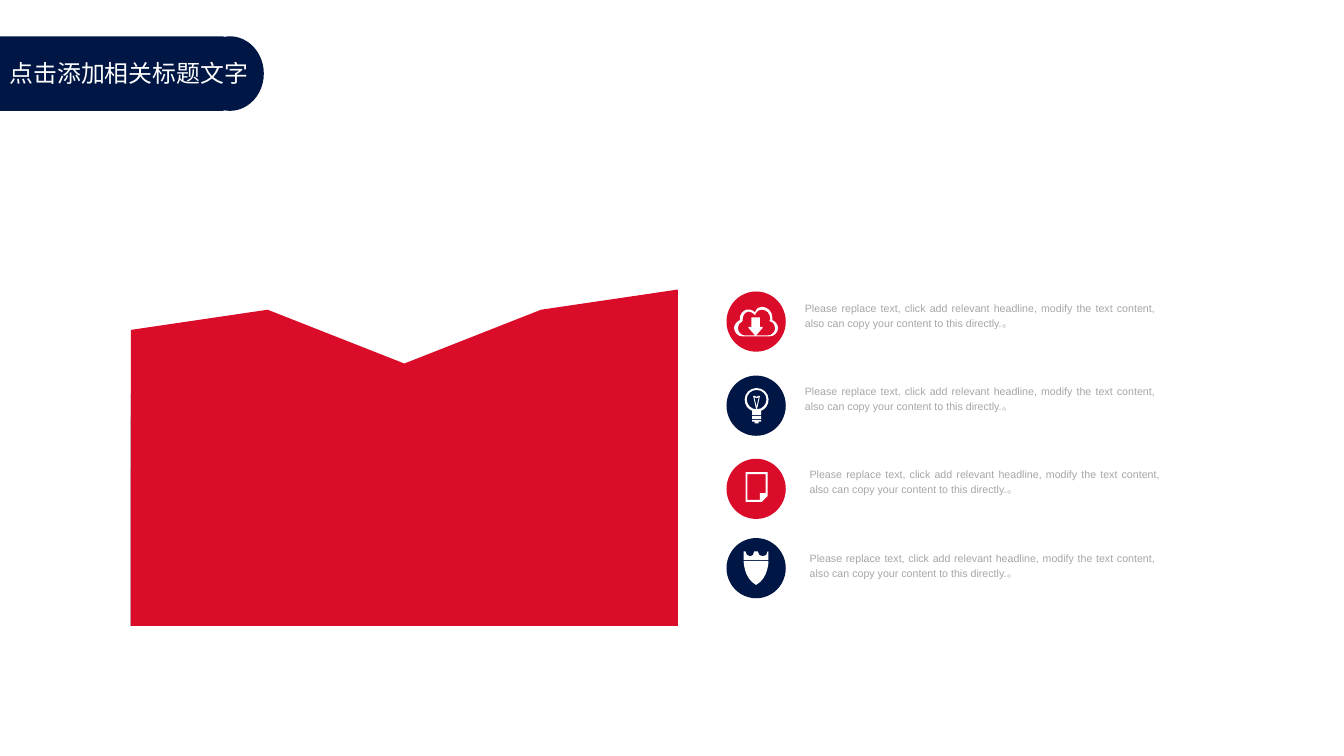
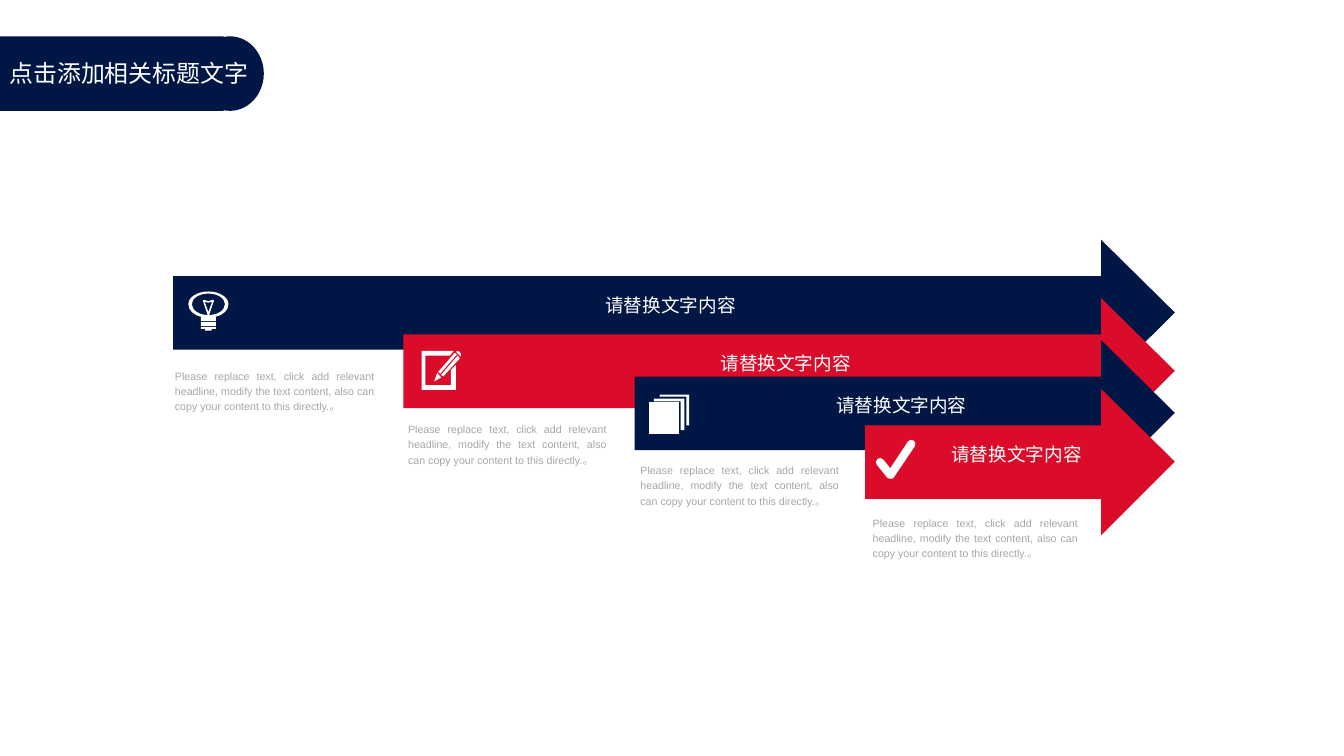
from lxml.etree import SubElement
from pptx import Presentation
from pptx.chart.data import CategoryChartData
from pptx.dml.color import RGBColor
from pptx.enum.chart import XL_CHART_TYPE
from pptx.enum.shapes import MSO_SHAPE
from pptx.enum.text import MSO_ANCHOR, MSO_AUTO_SIZE, PP_ALIGN
from pptx.oxml.ns import qn
from pptx.util import Pt

EMU_PER_PX = 9144

NAVY = RGBColor(0x00, 0x17, 0x46)
RED = RGBColor(0xDA, 0x0C, 0x2A)
GRAY = RGBColor(0xA6, 0xA6, 0xA6)
WHITE = RGBColor(0xFF, 0xFF, 0xFF)
BLACK = RGBColor(0x00, 0x00, 0x00)

LATIN = "Arial"
CHINESE = "Noto Sans CJK SC"

HEADLINE = "点击添加相关标题文字"
ARROW_LABEL = "请替换文字内容"
BODY = ("Please replace text, click add relevant headline, modify the text "
        "content, also can copy your content to this directly.。")

CLOUD = [[
    [(40, 14), (40, 13, 40, 12, 40, 11), (40, 5, 35, 0, 29, 0),
     (23, 0, 22, 6, 22, 6), (22, 6, 19, 2, 13, 3), (9, 4, 6, 8, 6, 12),
     (6, 13, 6, 13, 6, 14), (3, 15, 0, 19, 0, 22), (0, 27, 4, 31, 9, 31),
     (37, 31), (42, 31, 46, 27, 46, 22), (46, 19, 43, 15, 40, 14)],
    [(35, 30), (23, 30), (30, 22), (30, 21), (27, 21), (27, 11), (18, 11),
     (18, 21), (15, 21), (15, 22), (22, 30), (11, 30),
     (7, 30, 4, 26, 4, 22), (4, 19, 6, 16, 9, 15), (9, 14, 9, 14, 9, 13),
     (9, 9, 11, 6, 15, 5), (19, 5, 22, 9, 22, 9), (22, 9, 23, 3, 29, 3),
     (34, 3, 38, 7, 38, 13), (38, 13, 37, 14, 37, 15),
     (41, 16, 43, 19, 43, 22), (43, 26, 40, 30, 35, 30)],
]]
BULB = [
    [[(250, 120), (250, 54, 194, 0, 125, 0), (56, 0, 0, 54, 0, 120),
      (0, 175, 32, 222, 78, 238), (78, 280), (172, 280), (172, 238),
      (218, 222, 250, 175, 250, 120)],
     [(125, 223), (68, 223, 22, 177, 22, 120), (22, 63, 68, 20, 125, 20),
      (182, 20, 228, 63, 228, 120), (228, 177, 182, 223, 125, 223)]],
    (78, 290, 94, 35),
    [[(78, 352), (105, 352), (105, 370), (145, 370), (145, 352), (172, 352),
      (172, 335), (78, 335)]],
    [[(160, 85), (150, 80), (125, 92), (100, 80), (90, 85), (120, 220), (130, 220)],
     [(125, 195), (102, 97), (125, 106), (148, 97)]],
]
PAGE = [[
    [(0, 0), (0, 31), (17, 31), (23, 25), (23, 0)],
    [(2, 2), (2, 29), (15, 29), (15, 22), (21, 22), (21, 2)],
]]
SHIELD = [
    [[(13, 35), (26, 28, 26, 10, 26, 10), (0, 10), (0, 10, 0, 28, 13, 35)]],
    [[(25, 0), (25, 3, 23, 5, 20, 5), (17, 5, 15, 3, 15, 0), (11, 0),
      (11, 3, 9, 5, 7, 5), (4, 5, 2, 3, 2, 0), (0, 0), (0, 9), (26, 9), (26, 0)]],
]
PENCIL = [
    [[(20, 29), (16, 24), (13, 33)]],
    [[(34, 3), (17, 23), (19, 25), (36, 5)]],
    [[(20, 26), (22, 28), (39, 9), (37, 6)]],
    [[(39, 2), (38, 0, 35, 2, 35, 2), (40, 7), (40, 7, 41, 5, 39, 2)]],
    [[(30, 37), (4, 37), (4, 6), (29, 6), (33, 1), (0, 1), (0, 42), (35, 42),
      (35, 16), (30, 21)]],
]
SHEETS = [
    [[(5, 7), (33, 7), (33, 37), (37, 37), (37, 4), (5, 4)]],
    [[(11, 0), (11, 2), (39, 2), (39, 32), (42, 32), (42, 0)]],
    [[(0, 8), (0, 41), (31, 41), (31, 8)]],
]
CHECK = [[
    [(15, 41), (14, 41, 13, 41, 12, 40), (1, 26), (0, 24, 0, 22, 2, 20),
     (4, 19, 7, 19, 8, 21), (15, 30), (33, 2), (34, 0, 37, 0, 39, 1),
     (41, 2, 41, 5, 40, 7), (19, 39), (18, 41, 17, 41, 15, 41)],
]]


def px(length):
    """Turn px into EMU."""
    return round(length * EMU_PER_PX)


def paint(shape, color):
    """Give a shape a flat fill without outline or shadow."""
    shape.shadow.inherit = False
    shape.fill.solid()
    shape.fill.fore_color.rgb = color
    shape.line.fill.background()
    return shape


def write(shape, text, *, size, color, font=LATIN, align=PP_ALIGN.LEFT,
          spacing=None, insets=(10, 5, 10, 5), anchor=MSO_ANCHOR.TOP, grow=True):
    """Put formatted text into a shape."""
    frame = shape.text_frame
    frame.word_wrap = True
    frame.auto_size = MSO_AUTO_SIZE.SHAPE_TO_FIT_TEXT if grow else MSO_AUTO_SIZE.NONE
    frame.vertical_anchor = anchor
    (frame.margin_left, frame.margin_top,
     frame.margin_right, frame.margin_bottom) = map(px, insets)
    paragraph = frame.paragraphs[0]
    paragraph.alignment = align
    paragraph.line_spacing = spacing
    run = paragraph.add_run()
    run.text = text
    run.font.size = Pt(size)
    run.font.name = font
    run.font.color.rgb = color
    SubElement(run.font._element, qn("a:ea"), typeface=font)


def add_preset(shapes, kind, box, color):
    """Add a flat preset shape."""
    return paint(shapes.add_shape(kind, *map(px, box)), color)


def add_body(slide, box, insets):
    """Add a justified gray description."""
    write(slide.shapes.add_textbox(*map(px, box)), BODY, size=8, color=GRAY,
          align=PP_ALIGN.JUSTIFY, spacing=1.2, insets=insets)


def add_outline(slide, contours, color):
    """Add a filled freeform from contours of px points and Bezier steps."""
    anchors = [[(px(step[-2]), px(step[-1])) for step in contour]
               for contour in contours]
    builder = slide.shapes.build_freeform(*anchors[0][0], scale=1.0)
    for index, contour in enumerate(anchors):
        if index:
            builder.move_to(*contour[0])
        builder.add_line_segments(contour[1:], close=True)
    shape = paint(builder.convert_to_shape(), color)
    steps = [step for contour in contours for step in contour[1:]]
    for step, line in zip(steps, list(shape._element.iter(qn("a:lnTo")))):
        if len(step) == 6:
            curve = SubElement(line.getparent(), qn("a:cubicBezTo"))
            for x, y in zip(step[::2], step[1::2]):
                SubElement(curve, qn("a:pt"), x=str(px(x) - shape.left),
                           y=str(px(y) - shape.top))
            line.getparent().replace(line, curve)
    return shape


def add_icon(slide, parts, box):
    """Stretch the parts of an icon over a box, in white."""
    left, top, width, height = box
    anchors = [step[-2:] for part in parts if isinstance(part, list)
               for contour in part for step in contour]
    x_unit = width / max(x for x, _ in anchors)
    y_unit = height / max(y for _, y in anchors)

    def place(step):
        """Move a step from the icon grid to the slide."""
        return tuple(top + value * y_unit if index % 2 else left + value * x_unit
                     for index, value in enumerate(step))

    for part in parts:
        if isinstance(part, tuple):
            x, y, w, h = part
            add_preset(slide.shapes, MSO_SHAPE.RECTANGLE,
                       (*place((x, y)), w * x_unit, h * y_unit), WHITE)
        else:
            add_outline(slide, [[place(step) for step in contour]
                                for contour in part], WHITE)


def define_tab(deck, layout):
    """Put the rounded title tab on the layout that the slides share."""
    for placeholder in list(layout.placeholders):
        layout.shapes._spTree.remove(placeholder._element)
    slide = deck.slides.add_slide(layout)
    tab = slide.shapes.add_group_shape()
    add_preset(tab.shapes, MSO_SHAPE.RECTANGLE, (0, 38, 234, 78), NAVY)
    add_preset(tab.shapes, MSO_SHAPE.OVAL, (205, 38, 71, 78), NAVY)
    layout.shapes._spTree.append(tab._element)
    return slide


def add_title(slide):
    """Add the headline over the tab."""
    write(slide.shapes.add_textbox(*map(px, (0, 56, 276, 40))), HEADLINE,
          size=18, color=WHITE, font=CHINESE)


def add_area_chart(slide, box, series):
    """Add an area chart without axes."""
    data = CategoryChartData()
    data.categories = ["1", "2", "3", "4", "5"]
    for number, (values, _) in enumerate(series, 1):
        data.add_series(f"Series {number}", values)
    chart = slide.shapes.add_chart(XL_CHART_TYPE.AREA, *map(px, box), data).chart
    chart.has_legend = False
    chart.has_title = False
    chart.font.name = LATIN
    chart.font.size = Pt(18)
    chart.font.color.rgb = BLACK
    axis = chart.value_axis
    axis.minimum_scale, axis.maximum_scale = 0, 100
    axis.has_major_gridlines = False
    axis.visible = chart.category_axis.visible = False
    axis._element.find(qn("c:crossBetween")).set("val", "midCat")
    chart.plots[0].vary_by_categories = False
    for area, (_, color) in zip(chart.plots[0].series, series):
        area.format.fill.solid()
        area.format.fill.fore_color.rgb = color
        area.format.line.fill.background()
    place_plot(chart, x=0.02, y=0.1, w=0.96, h=0.88)


def place_plot(chart, **fractions):
    """Fix the inner plot area as fractions of the chart."""
    plot_area = chart._chartSpace.chart.plotArea
    for old in plot_area.findall(qn("c:layout")):
        plot_area.remove(old)
    layout = SubElement(plot_area, qn("c:layout"))
    plot_area.insert(0, layout)
    manual = SubElement(layout, qn("c:manualLayout"))
    settings = {"layoutTarget": "inner", "xMode": "edge", "yMode": "edge", **fractions}
    for name, value in settings.items():
        SubElement(manual, qn(f"c:{name}"), val=str(value))


def add_arrow(slide, left, top, color):
    """Add a labelled arrow that ends at the common right edge."""
    neck, tip = 1152, 1229
    outline = [(left, top + 38), (neck, top + 38), (neck, top), (tip, top + 76),
               (neck, top + 153), (neck, top + 115), (left, top + 115)]
    write(add_outline(slide, [outline], color), ARROW_LABEL, size=14, color=WHITE,
          align=PP_ALIGN.CENTER, spacing=1.2, insets=(59, 41, 66, 62),
          anchor=MSO_ANCHOR.MIDDLE, grow=False)


def fill_chart_slide(slide):
    """Fill in the area chart with four described icons."""
    add_area_chart(slide, (125, 263, 596, 400), [
        ((88, 94, 78, 94, 100), RED),
        ((69, 56, 62, 66, 88), NAVY),
        ((47, 47, 47, 59, 56), RED),
        ((62, 38, 38, 28, 34), NAVY),
    ])
    rows = [
        (305, RED, CLOUD, (768, 321, 46, 31), (837, 310, 377, 38)),
        (393, NAVY, BULB, (779, 406, 25, 37), (837, 397, 377, 38)),
        (480, RED, PAGE, (780, 494, 23, 31), (842, 484, 377, 38)),
        (563, NAVY, SHIELD, (778, 577, 26, 35), (842, 572, 372, 38)),
    ]
    for top, color, icon, icon_box, body_box in rows:
        add_preset(slide.shapes, MSO_SHAPE.OVAL, (760, top, 62, 63), color)
        add_body(slide, body_box, (5, 3, 5, 3))
        add_icon(slide, icon, icon_box)
    add_title(slide)


def fill_arrow_slide(slide):
    """Fill in the four stacked arrows with icons and descriptions."""
    steps = [
        (181, 251, NAVY, BULB, (197, 305, 42, 41), (172, 379, 231, 58)),
        (422, 312, RED, PENCIL, (441, 366, 41, 42), (416, 435, 230, 58)),
        (664, 356, NAVY, SHEETS, (679, 413, 42, 41), (659, 478, 230, 58)),
        (905, 407, RED, CHECK, (916, 460, 41, 41), (902, 533, 237, 58)),
    ]
    for left, top, color, icon, icon_box, body_box in steps:
        add_body(slide, body_box, (11, 5, 11, 5))
        add_arrow(slide, left, top, color)
        add_icon(slide, icon, icon_box)
    add_title(slide)


def main():
    """Build and save the deck."""
    deck = Presentation()
    deck.slide_width, deck.slide_height = px(1406), px(791)
    layout = deck.slide_layouts[6]
    fill_chart_slide(define_tab(deck, layout))
    fill_arrow_slide(deck.slides.add_slide(layout))
    deck.save("out.pptx")


if __name__ == "__main__":
    main()
